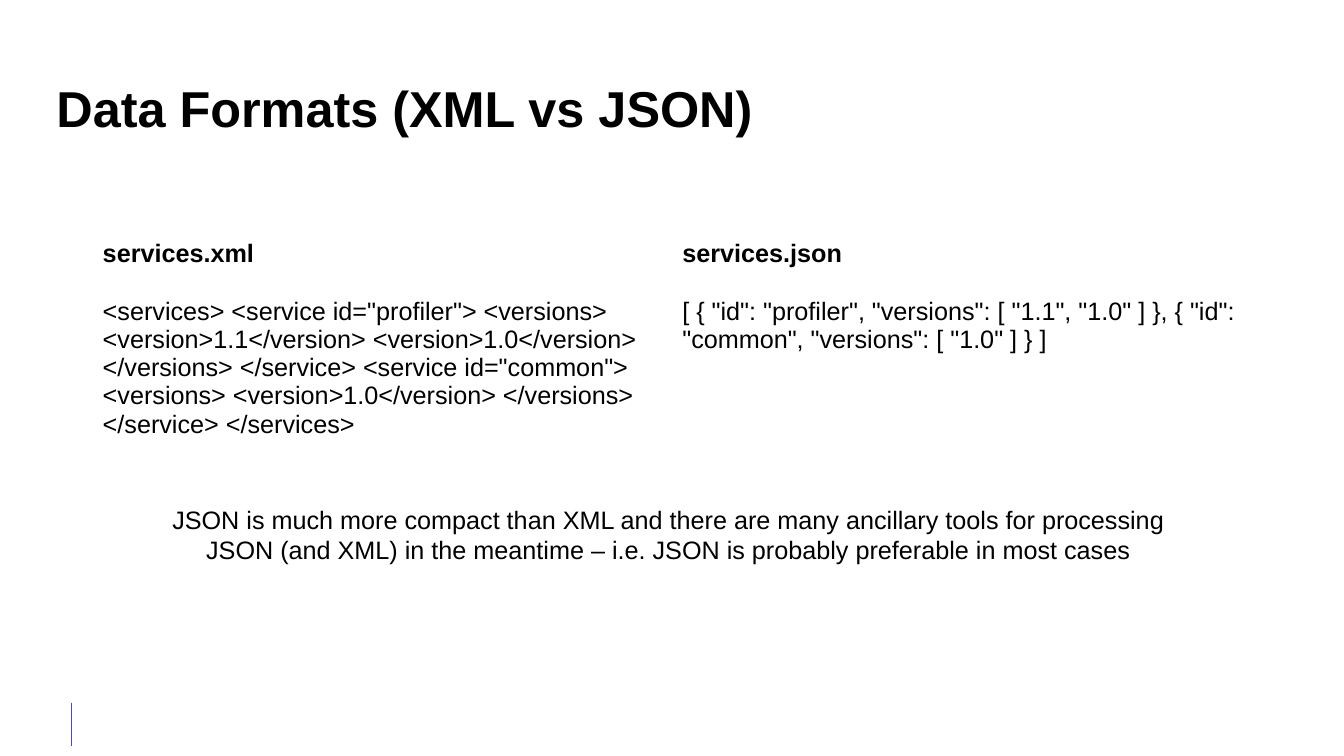
import pptx
import pptx.dml.color
import pptx.enum.shapes
import pptx.enum.text
import pptx.oxml
import pptx.oxml.ns
import pptx.util
from lxml import etree

Pt = pptx.util.Pt
ALIGN = pptx.enum.text.PP_ALIGN
ANCHOR = pptx.enum.text.MSO_ANCHOR

FORMATS = [
    ("services.xml",
     '<services> <service id="profiler"> <versions> <version>1.1</version> '
     '<version>1.0</version> </versions> </service> <service id="common"> '
     '<versions> <version>1.0</version> </versions> </service> </services>'),
    ("services.json",
     '[ { "id": "profiler", "versions": [ "1.1", "1.0" ] }, '
     '{ "id": "common", "versions": [ "1.0" ] } ]'),
]
SUMMARY = ("JSON is much more compact than XML and there are many ancillary tools "
           "for processing JSON (and XML) in the meantime – i.e. JSON is probably "
           "preferable in most cases")


def color(value):
    return pptx.dml.color.RGBColor.from_string(value)


def set_attributes(target, values):
    for name, value in values.items():
        setattr(target, name, value)


def write_text(text_frame, text, size=18, bold=False, **paragraph_format):
    text_frame.text = text
    paragraph = text_frame.paragraphs[0]
    set_attributes(paragraph, paragraph_format)
    font = paragraph.runs[0].font
    set_attributes(font, {"name": "Arial", "size": Pt(size), "bold": bold})
    font.color.rgb = color("000000")


def place(shape, left, top, width, height):
    set_attributes(shape, {"left": Pt(left), "top": Pt(top),
                           "width": Pt(width), "height": Pt(height)})


def add_title(slide, text):
    title = slide.shapes.title
    place(title, 40.3, 43.2, 874.8, 72)
    set_attributes(title.text_frame, {
        "margin_left": 0, "margin_top": 0, "margin_right": 0, "margin_bottom": 0,
        "vertical_anchor": ANCHOR.MIDDLE, "word_wrap": True,
        "auto_size": pptx.enum.text.MSO_AUTO_SIZE.NONE})
    write_text(title.text_frame, text, 36, True,
               alignment=ALIGN.LEFT, line_spacing=0.9)


def add_format_table(slide, formats):
    """One column per format: file name above, content below."""
    table = slide.shapes.add_table(
        2, len(formats), Pt(66.2), Pt(154.1), Pt(828), Pt(275)).table
    set_attributes(table, {"first_row": False, "horz_banding": False})
    for row, height in zip(table.rows, (54.7, 220.3)):
        row.height = Pt(height)
    for column, texts in enumerate(formats):
        for row, text in enumerate(texts):
            cell = table.cell(row, column)
            is_header = row == 0
            cell.fill.background()
            cell.vertical_anchor = ANCHOR.MIDDLE if is_header else ANCHOR.TOP
            write_text(cell.text_frame, text, bold=is_header)


def add_summary(slide, text):
    box = slide.shapes.add_textbox(Pt(113.8), Pt(356.4), Pt(727.2), Pt(72.7))
    box.text_frame.word_wrap = True
    write_text(box.text_frame, text, alignment=ALIGN.CENTER)


def add_footer_line(slide):
    line = slide.shapes.add_connector(
        pptx.enum.shapes.MSO_CONNECTOR.STRAIGHT,
        Pt(51.1), Pt(501.8), Pt(51.1), Pt(532.8))
    line.line.color.rgb = color("4E4FA9")
    line.line.width = Pt(1)
    etree.SubElement(line.element.spPr, pptx.oxml.ns.qn("a:effectLst"))


def main():
    presentation = pptx.Presentation()
    set_attributes(presentation, {"slide_width": Pt(960), "slide_height": Pt(540)})
    title_only = presentation.slide_layouts.get_by_name("Title Only")
    slide = presentation.slides.add_slide(title_only)
    add_footer_line(slide)
    add_title(slide, "Data Formats (XML vs JSON)")
    add_format_table(slide, FORMATS)
    add_summary(slide, SUMMARY)
    presentation.save("out.pptx")


if __name__ == "__main__":
    main()
